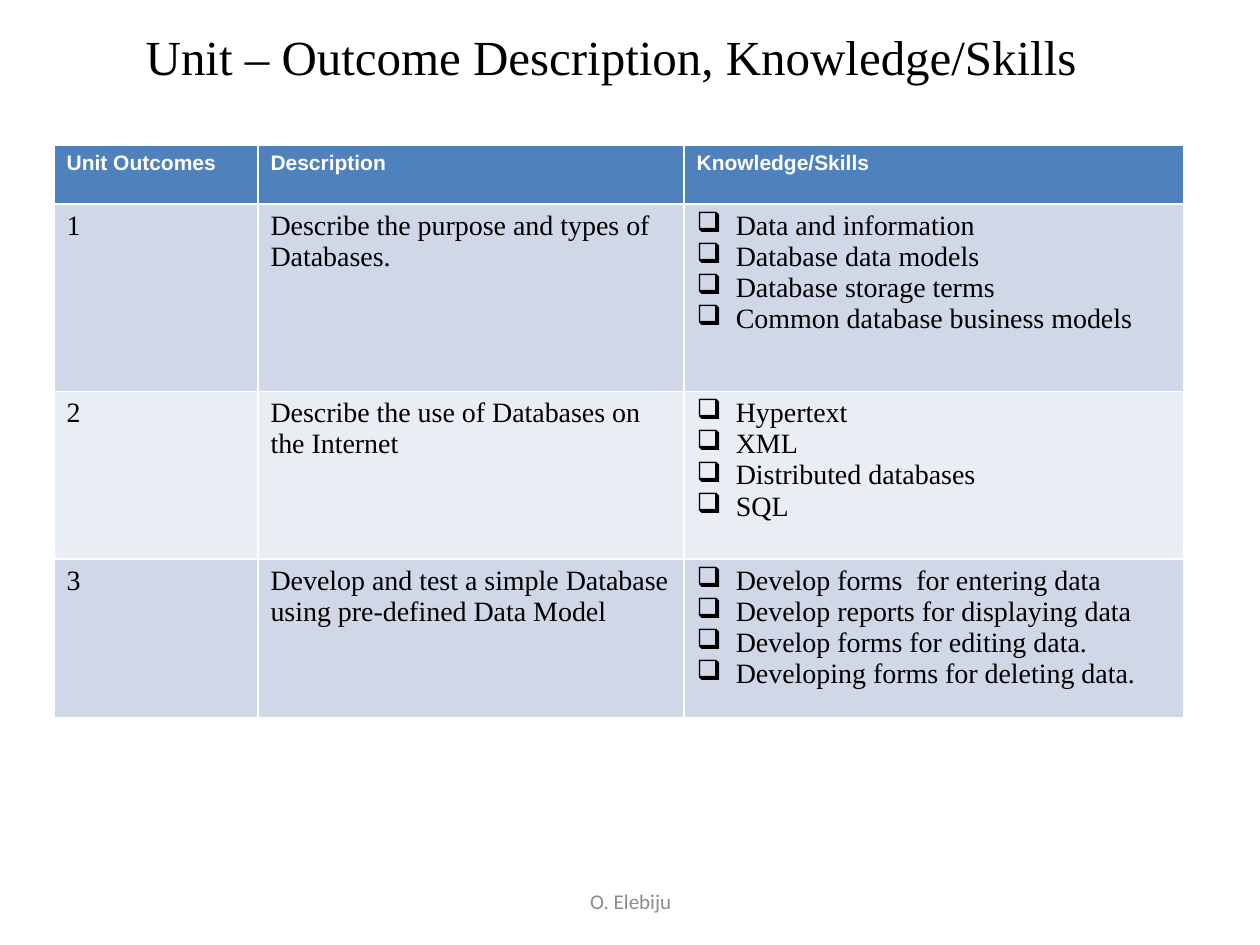
import pptx
import pptx.util
import pptx.dml.color
import pptx.enum.text
import pptx.oxml
import pptx.oxml.ns
from pptx.util import Cm

RGBColor = pptx.dml.color.RGBColor
BLACK = RGBColor(0x00, 0x00, 0x00)
WHITE = RGBColor(0xFF, 0xFF, 0xFF)
GREY = RGBColor(0x8C, 0x8C, 0x8C)
HEADER_BLUE = RGBColor(0x4F, 0x81, 0xBD)
BANDS = [RGBColor(0xD0, 0xD8, 0xE8), RGBColor(0xE9, 0xED, 0xF4)]

TITLE_FONT = {"name": "Times New Roman", "size": pptx.util.Pt(28), "color": BLACK}
HEADER_FONT = {"name": "Arial", "size": pptx.util.Pt(12), "bold": True, "color": WHITE}
BODY_FONT = {"name": "Times New Roman", "size": pptx.util.Pt(16), "bold": False, "color": BLACK}
FOOTER_FONT = {"name": "Calibri", "size": pptx.util.Pt(12), "color": GREY}

COLUMN_WIDTHS = [4.11, 8.59, 10.08]
ROW_HEIGHTS = [1.19, 3.78, 3.38, 3.2]
HEADERS = ["Unit Outcomes", "Description", "Knowledge/Skills"]
OUTCOMES = [
    ("Describe the purpose and types of Databases.",
     ["Data and information", "Database data models",
      "Database storage terms", "Common database business models"]),
    ("Describe the use of Databases on the Internet",
     ["Hypertext", "XML", "Distributed databases", "SQL"]),
    ("Develop and test a simple Database using pre-defined Data Model",
     ["Develop forms  for entering data", "Develop reports for displaying data",
      "Develop forms for editing data.", "Developing forms for deleting data."]),
]


def format_font(font, values):
    for name, value in values.items():
        if name == "color":
            font.color.rgb = value
        else:
            setattr(font, name, value)


def add_bullet(p):
    pPr = p._p.get_or_add_pPr()
    pPr.set("marL", str(Cm(0.79)))
    pPr.set("indent", str(-Cm(0.79)))
    bullet = pptx.oxml.parse_xml(
        f'<a:buChar {pptx.oxml.ns.nsdecls("a")} char="❑"/>')
    pPr.append(bullet)


def write_lines(tf, lines, font, bulleted=False):
    for i, line in enumerate(lines):
        p = tf.paragraphs[0] if i == 0 else tf.add_paragraph()
        if bulleted:
            add_bullet(p)
        r = p.add_run()
        r.text = line
        format_font(r.font, font)


def write_centred(sp, text, font):
    tf = sp.text_frame
    tf.word_wrap = True
    tf.vertical_anchor = pptx.enum.text.MSO_ANCHOR.MIDDLE
    write_lines(tf, [text], font)
    tf.paragraphs[0].alignment = pptx.enum.text.PP_ALIGN.CENTER


def add_title(s, text):
    sp = s.shapes.title
    sp.left, sp.top, sp.width, sp.height = Cm(0.89), Cm(0.33), Cm(22.86), Cm(1.6)
    write_centred(sp, text, TITLE_FONT)


def fill_cell(cell, lines, font, color, bulleted=False):
    cell.fill.solid()
    cell.fill.fore_color.rgb = color
    write_lines(cell.text_frame, lines, font, bulleted)


def add_outcome_table(s):
    table = s.shapes.add_table(
        len(ROW_HEIGHTS), len(COLUMN_WIDTHS), Cm(1.09), Cm(2.92),
        Cm(sum(COLUMN_WIDTHS)), Cm(sum(ROW_HEIGHTS))).table
    for column, width in zip(table.columns, COLUMN_WIDTHS):
        column.width = Cm(width)
    for row, height in zip(table.rows, ROW_HEIGHTS):
        row.height = Cm(height)
    for col, header in enumerate(HEADERS):
        fill_cell(table.cell(0, col), [header], HEADER_FONT, HEADER_BLUE)
    for row, (description, skills) in enumerate(OUTCOMES, start=1):
        color = BANDS[(row - 1) % 2]
        fill_cell(table.cell(row, 0), [str(row)], BODY_FONT, color)
        fill_cell(table.cell(row, 1), [description], BODY_FONT, color)
        fill_cell(table.cell(row, 2), skills, BODY_FONT, color, bulleted=True)


def add_footer(s, text):
    sp = s.shapes.add_textbox(Cm(8.69), Cm(17.65), Cm(8.05), Cm(1.02))
    write_centred(sp, text, FOOTER_FONT)


def main():
    prs = pptx.Presentation()
    prs.slide_width, prs.slide_height = Cm(25.4), Cm(19.05)
    s = prs.slides.add_slide(prs.slide_layouts[5])
    add_title(s, "Unit – Outcome Description, Knowledge/Skills")
    add_outcome_table(s)
    add_footer(s, "O. Elebiju")
    prs.save("out.pptx")


if __name__ == "__main__":
    main()
